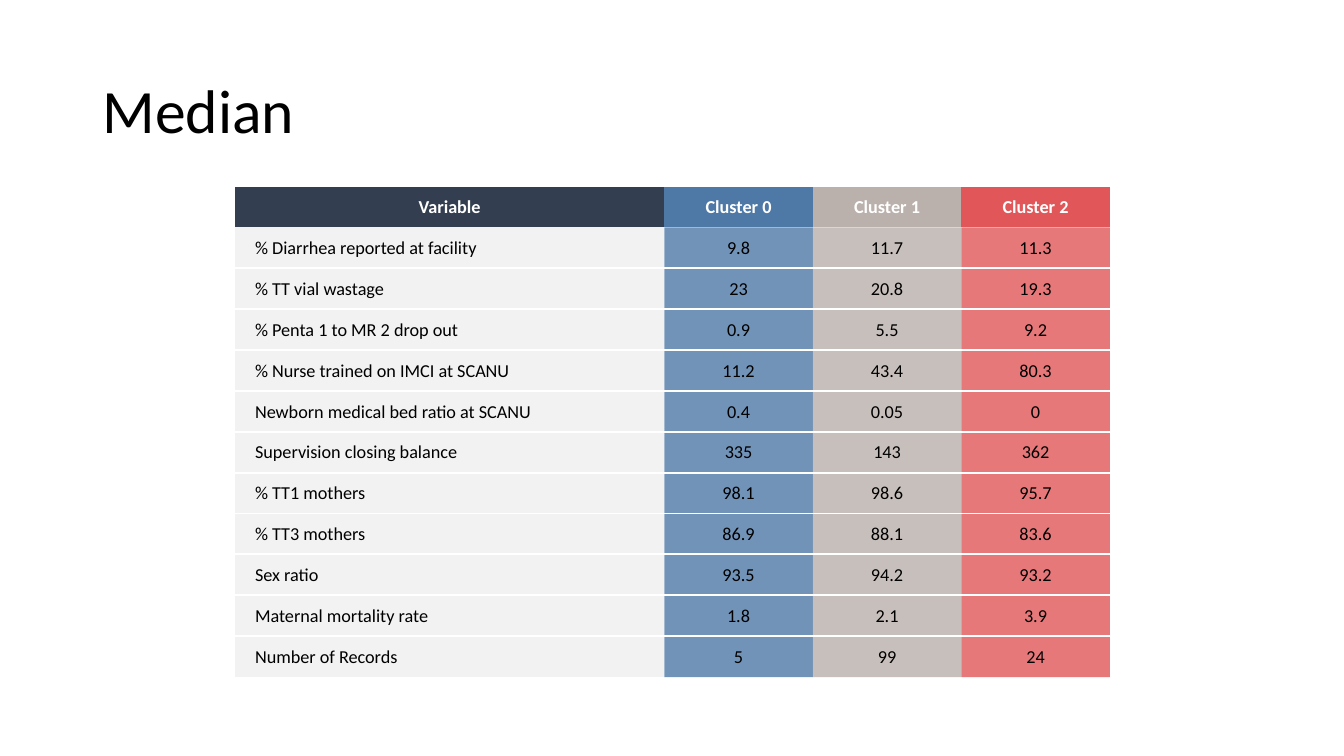
from dataclasses import dataclass

from lxml.etree import SubElement
from pptx import Presentation
from pptx.dml.color import RGBColor as Color
from pptx.enum.text import MSO_ANCHOR as Anchor, PP_ALIGN as Align
from pptx.oxml.ns import qn
from pptx.util import Inches, Pt


@dataclass(frozen=True)
class Theme:
    font: str = "Calibri"
    title_size: int = 44
    table_size: int = 13
    rule_width: float = 1.5
    ink: str = "000000"
    paper: str = "FFFFFF"
    header: str = "333F50"
    label: str = "F2F2F2"
    clusters: tuple = ("4E79A7", "BAB0AC", "E15759")
    tint: int = 80  # opacity of cluster cells, percent
    plain_table: str = "{2D5ABB26-0587-4C30-8999-92F81FD0307C}"


class Page:
    """One slide; places and sizes are percentages of its width and height."""

    def __init__(self, deck, theme):
        self.deck, self.theme = deck, theme
        self.slide = deck.slides.add_slide(deck.slide_layouts[6])

    def across(self, share):
        return round(self.deck.slide_width * share / 100)

    def down(self, share):
        return round(self.deck.slide_height * share / 100)

    def add_span(self, para, text, size, color, bold=False):
        span = para.add_run()
        span.text = text
        span.font.name, span.font.size, span.font.bold = self.theme.font, Pt(size), bold
        span.font.color.rgb = Color.from_string(color)

    def title(self, text, left, top, width, height):
        box = self.slide.shapes.add_textbox(
            self.across(left), self.down(top), self.across(width), self.down(height))
        frame = box.text_frame
        frame.word_wrap = True
        frame.vertical_anchor = Anchor.MIDDLE
        para = frame.paragraphs[0]
        para.line_spacing = 0.9
        self.add_span(para, text, self.theme.title_size, self.theme.ink)

    def table(self, rows, left, top, widths, row_height):
        graphic = self.slide.shapes.add_table(
            len(rows), len(widths), self.across(left), self.down(top),
            self.across(sum(widths)), self.down(row_height * len(rows)))
        table = graphic.table
        table.first_row = table.horz_banding = False
        table._tbl.tblPr.find(qn("a:tableStyleId")).text = self.theme.plain_table
        for column, width in zip(table.columns, widths):
            column.width = self.across(width)
        for index, values in enumerate(rows):
            table.rows[index].height = self.down(row_height)
            for place, text in enumerate(values):
                cell = table.cell(index, place)
                if index == 0:
                    self.header_cell(cell, text, place)
                else:
                    self.body_cell(cell, text, place)
                    self.rules(cell, above=index > 1, below=index < len(rows) - 1)

    def header_cell(self, cell, text, place):
        self.fill(cell, (self.theme.header, *self.theme.clusters)[place])
        self.cell_text(cell, text, Align.CENTER, self.theme.paper, bold=True)

    def body_cell(self, cell, text, place):
        is_label = place == 0
        cell.margin_left = Inches(0.2 if is_label else 0.01)
        cell.margin_top = cell.margin_right = Inches(0.01)
        cell.margin_bottom = 0
        if is_label:
            self.fill(cell, self.theme.label)
        else:
            self.fill(cell, self.theme.clusters[place - 1], self.theme.tint)
        self.cell_text(cell, text, Align.LEFT if is_label else Align.CENTER, self.theme.ink)

    def cell_text(self, cell, text, align, color, bold=False):
        cell.vertical_anchor = Anchor.MIDDLE
        para = cell.text_frame.paragraphs[0]
        para.alignment = align
        self.add_span(para, text, self.theme.table_size, color, bold)

    def fill(self, cell, color, opacity=100):
        cell.fill.solid()
        cell.fill.fore_color.rgb = Color.from_string(color)
        if opacity < 100:
            tone = cell._tc.tcPr.find(".//" + qn("a:srgbClr"))
            SubElement(tone, qn("a:alpha"), val=str(opacity * 1000))

    def rules(self, cell, above, below):
        # Borders come before the fill, top before bottom
        properties = cell._tc.tcPr
        for tag, wanted in (("a:lnB", below), ("a:lnT", above)):
            if wanted:
                line = SubElement(properties, qn(tag), w=str(int(Pt(self.theme.rule_width))))
                solid = SubElement(line, qn("a:solidFill"))
                SubElement(solid, qn("a:srgbClr"), val=self.theme.paper)
                properties.insert(0, line)


MEDIANS = [
    ("Variable", "Cluster 0", "Cluster 1", "Cluster 2"),
    ("% Diarrhea reported at facility", "9.8", "11.7", "11.3"),
    ("% TT vial wastage", "23", "20.8", "19.3"),
    ("% Penta 1 to MR 2 drop out", "0.9", "5.5", "9.2"),
    ("% Nurse trained on IMCI at SCANU", "11.2", "43.4", "80.3"),
    ("Newborn medical bed ratio at SCANU", "0.4", "0.05", "0"),
    ("Supervision closing balance", "335", "143", "362"),
    ("% TT1 mothers", "98.1", "98.6", "95.7"),
    ("% TT3 mothers", "86.9", "88.1", "83.6"),
    ("Sex ratio", "93.5", "94.2", "93.2"),
    ("Maternal mortality rate", "1.8", "2.1", "3.9"),
    ("Number of Records", "5", "99", "24"),
]


def main():
    deck = Presentation()
    deck.slide_width, deck.slide_height = Inches(13.33), Inches(7.5)
    page = Page(deck, Theme())

    # Heading
    page.title("Median", left=6.9, top=5.33, width=86.25, height=19.33)

    # Medians by cluster
    page.table(MEDIANS, left=17.48, top=24.67,
               widths=[31.95] + [11.05] * 3, row_height=5.41)

    deck.save("out.pptx")


if __name__ == "__main__":
    main()
